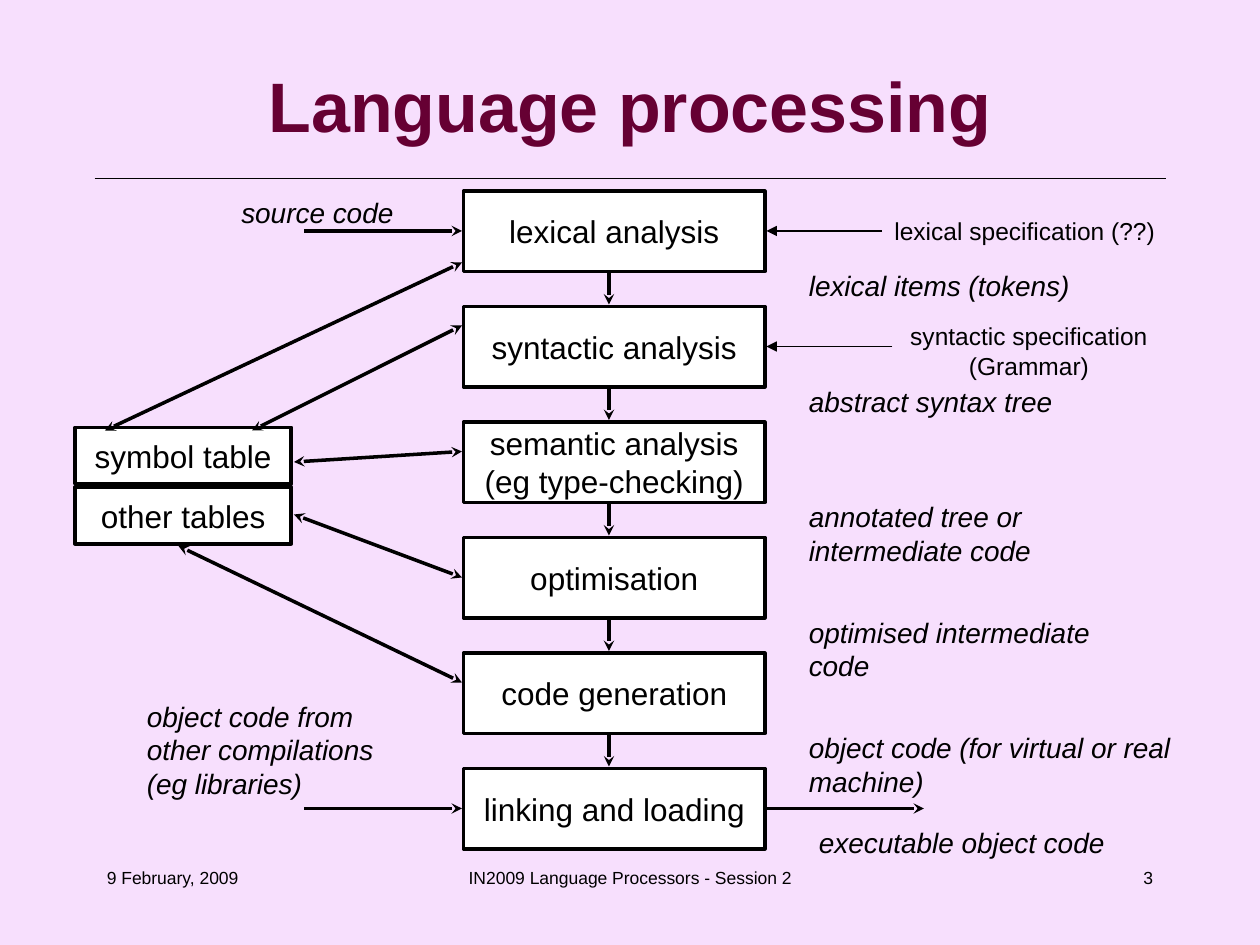
from lxml.etree import SubElement
from pptx import Presentation
from pptx.dml.color import RGBColor
from pptx.enum.shapes import MSO_CONNECTOR, MSO_SHAPE
from pptx.enum.text import MSO_ANCHOR, PP_ALIGN
from pptx.oxml.ns import qn
from pptx.util import Inches, Pt

LILAC = RGBColor(0xF7, 0xDF, 0xFD)
MAROON = RGBColor(0x66, 0x00, 0x33)
BLACK = RGBColor(0x00, 0x00, 0x00)
WHITE = RGBColor(0xFF, 0xFF, 0xFF)

WIDTH, HEIGHT = Inches(10), Inches(7.5)
COLUMNS, ROWS = 120, 90

STAGE_LEFT, STAGE_TOP, STAGE_WIDTH, STAGE_HEIGHT = 44.15, 18.2, 28.7, 7.65
STAGE_PITCH = 11
STAGE_OUT, STAGE_MIDDLE = 73, 58

STAGES = [
    "lexical analysis",
    "syntactic analysis",
    "semantic analysis\n(eg type-checking)",
    "optimisation",
    "code generation",
    "linking and loading",
]
PRODUCTS = [
    ("lexical items (tokens)", 28, 4.4),
    ("abstract syntax tree", 26.2, 4.4),
    ("annotated tree or\nintermediate code", 24.5, 7.6),
    ("optimised intermediate\ncode", 30, 7.6),
    ("object code (for virtual or real\nmachine)", 37.8, 7.6),
]
SIDE_LABELS = [
    ("source code", (21.8, 18, 17.6, 4.4)),
    ("executable object code", (76.8, 78, 30.4, 4.4)),
    ("object code from\nother compilations\n(eg libraries)", (12.8, 66, 24.8, 10.8)),
]
SPECIFICATIONS = [
    ("lexical specification (??)", (83.6, 20, 28, 4.1), 84, 22),
    ("syntactic specification\v(Grammar)", (85, 30, 26, 6.8), 85, 33),
]
TABLES = [("symbol table", 40.7), ("other tables", 46.4)]
TABLE_LINKS = [
    ((44, 25), (10, 41)),
    ((44, 31), (24, 41)),
    ((44, 43), (28, 44)),
    ((44, 55), (28, 49)),
    ((44, 65), (17, 52)),
]
FLOWS = [((29, 22), (44, 22)), ((29, 77), (44, 77)), ((73, 77), (88, 77))]
FOOTERS = [
    ("9 February, 2009", 9, 25, PP_ALIGN.LEFT),
    ("IN2009 Language Processors - Session 2", 41, 38, PP_ALIGN.CENTER),
    ("3", 86, 25, PP_ALIGN.RIGHT),
]


def across(columns):
    return round(WIDTH * columns / COLUMNS)


def down(rows):
    return round(HEIGHT * rows / ROWS)


def area(left, top, width, height):
    return across(left), down(top), across(width), down(height)


def write(frame, text, size=18, color=BLACK, bold=False, italic=False,
          align=PP_ALIGN.LEFT, anchor=MSO_ANCHOR.TOP, wrap=True):
    frame.text = text
    frame.word_wrap = wrap
    frame.vertical_anchor = anchor
    for paragraph in frame.paragraphs:
        paragraph.alignment = align
        for run in paragraph.runs:
            run.font.name = "Arial"
            run.font.size = Pt(size)
            run.font.color.rgb = color
            run.font.bold = bold
            run.font.italic = italic


def add_label(shapes, text, place, **style):
    write(shapes.add_textbox(*area(*place)).text_frame, text, **style)


def add_box(shapes, text, place):
    box = shapes.add_shape(MSO_SHAPE.RECTANGLE, *area(*place))
    box.shadow.inherit = False
    box.fill.solid()
    box.fill.fore_color.rgb = WHITE
    box.line.color.rgb = BLACK
    box.line.width = Pt(2)
    write(box.text_frame, text, align=PP_ALIGN.CENTER,
          anchor=MSO_ANCHOR.MIDDLE, wrap=False)


def add_line(shapes, start, end, width=2, head=None, tail=None):
    line = shapes.add_connector(
        MSO_CONNECTOR.STRAIGHT,
        across(start[0]), down(start[1]), across(end[0]), down(end[1]))
    line.line.color.rgb = BLACK
    line.line.width = Pt(width)
    outline = line.line._get_or_add_ln()
    for tag, arrow in (("a:headEnd", head), ("a:tailEnd", tail)):
        if arrow:
            SubElement(outline, qn(tag), type=arrow)
    SubElement(line._element.spPr, qn("a:effectLst"))


def add_title(slide, text):
    title = slide.shapes.title
    title.left, title.top, title.width, title.height = area(6, 4, 108, 12)
    write(title.text_frame, text, size=40, color=MAROON, bold=True,
          align=PP_ALIGN.CENTER, anchor=MSO_ANCHOR.MIDDLE)
    add_line(slide.shapes, (9, 17), (111, 17), width=0.75)


def add_pipeline(shapes):
    for index, stage in enumerate(STAGES):
        top = STAGE_TOP + index * STAGE_PITCH
        add_box(shapes, stage, (STAGE_LEFT, top, STAGE_WIDTH, STAGE_HEIGHT))
    for index, (product, width, height) in enumerate(PRODUCTS):
        row = 26 + index * STAGE_PITCH
        add_line(shapes, (STAGE_MIDDLE, row), (STAGE_MIDDLE, row + 3), tail="stealth")
        add_label(shapes, product, (75.85, row - 1, width, height), size=16, italic=True)


def add_inputs_and_outputs(shapes):
    for start, end in FLOWS:
        add_line(shapes, start, end, tail="stealth")
    for text, place in SIDE_LABELS:
        add_label(shapes, text, place, size=16, italic=True)
    for text, place, column, row in SPECIFICATIONS:
        add_line(shapes, (column, row), (STAGE_OUT, row), width=0.75, tail="triangle")
        add_label(shapes, text, place, size=14, align=PP_ALIGN.CENTER)


def add_tables(shapes):
    tables = shapes.add_group_shape()
    for name, top in TABLES:
        add_box(tables.shapes, name, (7.15, top, 20.6, 5.4))
    for start, end in TABLE_LINKS:
        add_line(shapes, start, end, head="stealth", tail="stealth")


def main():
    deck = Presentation()
    deck.slide_width, deck.slide_height = WIDTH, HEIGHT
    slide = deck.slides.add_slide(deck.slide_layouts[5])
    slide.background.fill.solid()
    slide.background.fill.fore_color.rgb = LILAC
    add_title(slide, "Language processing")
    add_pipeline(slide.shapes)
    add_inputs_and_outputs(slide.shapes)
    add_tables(slide.shapes)
    for text, left, width, align in FOOTERS:
        add_label(slide.shapes, text, (left, 82, width, 6), size=10, align=align)
    deck.save("out.pptx")


if __name__ == "__main__":
    main()
